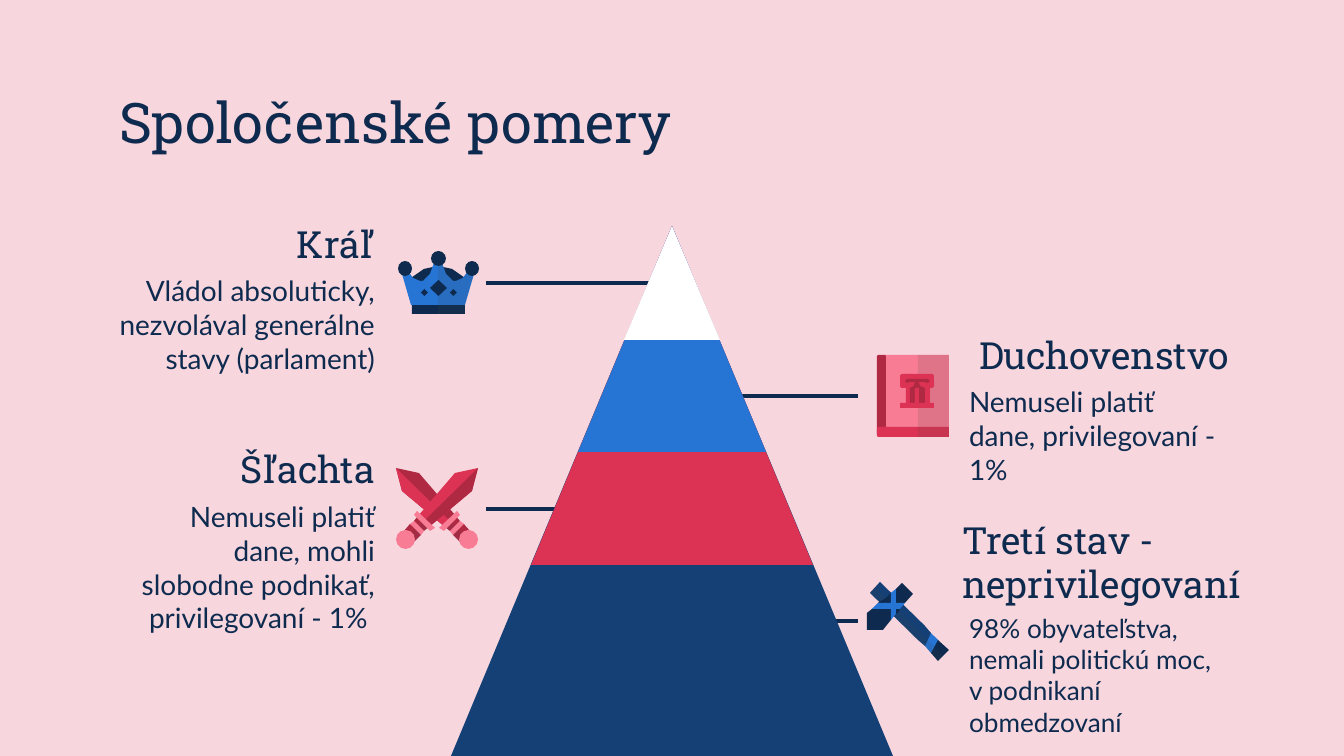
"""Build the slide about social order: a four-level pyramid with labelled icons."""
from lxml import etree
from pptx import Presentation
from pptx.dml.color import RGBColor
from pptx.enum.shapes import MSO_CONNECTOR, MSO_SHAPE
from pptx.enum.text import MSO_ANCHOR, PP_ALIGN
from pptx.oxml.ns import qn
from pptx.util import Emu, Pt

SCALE = 914400 / 134.4
PINK = RGBColor(0xF7, 0xD6, 0xDD)
NAVY = RGBColor(0x0E, 0x2B, 0x4F)
DEEP_BLUE = RGBColor(0x15, 0x40, 0x75)
BLUE = RGBColor(0x26, 0x74, 0xD4)
RED = RGBColor(0xDC, 0x33, 0x54)
DARK_RED = RGBColor(0xB0, 0x29, 0x43)
ROSE = RGBColor(0xF7, 0x7C, 0x94)
SHADE = RGBColor(0x43, 0x43, 0x43)
WHITE = RGBColor(0xFF, 0xFF, 0xFF)
TRIANGLE = MSO_SHAPE.ISOSCELES_TRIANGLE
RECTANGLE = MSO_SHAPE.RECTANGLE
ROUNDED = MSO_SHAPE.ROUNDED_RECTANGLE
OVAL = MSO_SHAPE.OVAL
DIAMOND = MSO_SHAPE.DIAMOND
STRAIGHT = MSO_CONNECTOR.STRAIGHT
POLYGON = None
LEFT, RIGHT = PP_ALIGN.LEFT, PP_ALIGN.RIGHT
TOP, MIDDLE = MSO_ANCHOR.TOP, MSO_ANCHOR.MIDDLE

presentation = Presentation()
presentation.slide_width = Emu(round(1344 * SCALE))
presentation.slide_height = Emu(round(756 * SCALE))
slide = presentation.slides.add_slide(presentation.slide_layouts[6])
slide.background.fill.solid()
slide.background.fill.fore_color.rgb = PINK


def add_piece(kind, geometry, colour):
    """Add a preset shape from a box, or a polygon from points; SHADE is see-through."""
    if kind is POLYGON:
        builder = slide.shapes.build_freeform(*geometry[0], scale=SCALE)
        builder.add_line_segments(geometry[1:], close=True)
        shape = builder.convert_to_shape()
    else:
        box = [Emu(round(value * SCALE)) for value in geometry]
        shape = slide.shapes.add_shape(kind, *box)
    shape.shadow.inherit = False
    shape.line.fill.background()
    shape.fill.solid()
    shape.fill.fore_color.rgb = colour
    if colour == SHADE:
        colour_element = shape._element.spPr.find(qn("a:solidFill"))[0]
        etree.SubElement(colour_element, qn("a:alpha"), val="13000")
    return shape


def add_text(text, box, size, font="Lato", align=LEFT, anchor=TOP):
    """Add a wrapped text box."""
    shape = slide.shapes.add_textbox(*[Emu(round(value * SCALE)) for value in box])
    frame = shape.text_frame
    frame.word_wrap = True
    frame.vertical_anchor = anchor
    frame.margin_left = frame.margin_top = frame.margin_bottom = Emu(round(13 * SCALE))
    frame.margin_right = Emu(round(14 * SCALE))
    paragraph = frame.paragraphs[0]
    paragraph.alignment = align
    run = paragraph.add_run()
    run.text = text
    run.font.size = Pt(size)
    run.font.name = font
    run.font.color.rgb = NAVY


for start, height in [(486, 283), (683, 396), (486, 509), (683, 621)]:
    ends = [Emu(round(value * SCALE)) for value in (start, height, start + 175, height)]
    connector = slide.shapes.add_connector(STRAIGHT, *ends)
    connector.line.color.rgb = NAVY
    connector.line.width = Pt(2.25)
    etree.SubElement(connector._element.spPr, qn("a:effectLst"))

for width, height, colour in [
    (442, 530, DEEP_BLUE), (282, 339, RED), (188, 226, BLUE), (96, 114, WHITE),
]:
    add_piece(TRIANGLE, (672 - width // 2, 226, width, height), colour)

add_text("Spoločenské pomery", (106, 79, 1134, 85), 30, font="Roboto Slab", anchor=MIDDLE)
for heading, heading_box, body, body_left, body_top, size, align in [
    ("Kráľ", (105, 206, 284, 75),
     "Vládol absoluticky, nezvolával generálne stavy (parlament)", 105, 261, 15, RIGHT),
    ("Šľachta", (105, 431, 284, 75),
     "Nemuseli platiť dane, mohli slobodne podnikať, privilegovaní - 1% ", 105, 487, 15, RIGHT),
    ("Duchovenstvo", (966, 317, 310, 75),
     "Nemuseli platiť dane, privilegovaní - 1%", 956, 372, 15, LEFT),
    ("Tretí stav - neprivilegovaní", (949, 524, 344, 75),
     "98% obyvateľstva, nemali politickú moc, v podnikaní obmedzovaní", 956, 599, 14, LEFT),
]:
    add_text(body, (body_left, body_top, 284, 85), size, align=align)
    add_text(heading, heading_box, 20, font="Roboto Slab", align=align, anchor=MIDDLE)

scroll = [(907, 379), (905, 381), (907, 383), (910, 382), (915, 382), (914, 386),
          (910, 388), (910, 406), (925, 406), (925, 388), (920, 386), (919, 382),
          (924, 382), (928, 383), (930, 381), (928, 379)]
book = [
    (RECTANGLE, (884, 355, 65, 72), ROSE),
    (RECTANGLE, (918, 355, 31, 72), SHADE),
    (ROUNDED, (877, 355, 9, 80), DARK_RED),
    (ROUNDED, (877, 427, 14, 10), RED),
    (RECTANGLE, (882, 427, 67, 10), RED),
    (RECTANGLE, (918, 427, 31, 10), SHADE),
    (ROUNDED, (900, 374, 34, 14), RED),
    (RECTANGLE, (906, 386, 24, 20), RED),
    (POLYGON, scroll, DARK_RED),
    (RECTANGLE, (915, 388, 4, 18), RED),
    (RECTANGLE, (900, 403, 34, 5), RED),
]

hammer_head = [(902, 583), (896, 589), (894, 597), (891, 593), (886, 598), (878, 603),
               (882, 606), (872, 609), (867, 613), (867, 630), (883, 630), (891, 620),
               (894, 610), (896, 614), (899, 612), (900, 609), (896, 606), (905, 603),
               (913, 594)]
hammer_cross = [(896, 589), (891, 593), (891, 603), (878, 603), (872, 609), (891, 609),
                (891, 620), (896, 614), (896, 609), (900, 609), (905, 603), (896, 603)]
hammer = [
    (POLYGON, [(931, 640), (931, 653), (938, 661), (949, 650), (938, 640)], NAVY),
    (POLYGON, [(931, 644), (931, 653), (938, 661), (943, 656)], SHADE),
    (POLYGON, [(925, 633), (925, 646), (931, 653), (938, 640), (931, 633)], BLUE),
    (POLYGON, [(925, 637), (925, 646), (931, 653), (934, 646)], SHADE),
    (POLYGON, [(918, 626), (918, 640), (925, 646), (931, 633), (925, 626)], DEEP_BLUE),
    (POLYGON, [(918, 629), (918, 640), (925, 646), (927, 640)], SHADE),
    (POLYGON, [(880, 582), (870, 593), (918, 640), (925, 626)], DEEP_BLUE),
    (POLYGON, [(875, 587), (870, 593), (918, 640), (921, 633)], SHADE),
    (POLYGON, hammer_head, NAVY),
    (POLYGON, hammer_cross, BLUE),
]

blade = [(396, 468), (402, 491), (445, 527), (456, 516), (419, 473)]
blade_half = [(396, 468), (402, 491), (445, 527), (450, 521)]
grip_edge = [(445, 527), (450, 531), (454, 530), (453, 535), (460, 542)]
grip = [(456, 516), *grip_edge, (470, 531), (464, 524), (458, 526), (460, 521)]
grip_half = [(450, 521), *grip_edge, (465, 536)]
ring = [(460, 521), (450, 531), (453, 535), (464, 524)]
guard = [(457, 511), (439, 528), (444, 531), (460, 515)]
swords = []
for mirrored, blade_colour, half_colour in [(False, DARK_RED, RED), (True, RED, DARK_RED)]:
    for outline, colour in [
        (blade, blade_colour), (blade_half, half_colour), (grip, DARK_RED),
        (grip_half, SHADE), (ring, ROSE), (guard, ROSE),
    ]:
        points = [(874 - x if mirrored else x, y) for x, y in outline]
        swords.append((POLYGON, points, colour))
    swords.append((OVAL, (396 if mirrored else 459, 530, 19, 19), ROSE))

crown_right = [(465, 305), (474, 274), (468, 271), (463, 278), (456, 281), (453, 281),
               (446, 274), (442, 263)]
crown_left = [(876 - x, y) for x, y in reversed(crown_right)]
crown_arch = [(411, 278), (415, 286), (461, 286), (465, 278), (452, 269), (438, 266),
              (424, 269)]
crown = [
    (RECTANGLE, (412, 300, 53, 14), NAVY),
    (RECTANGLE, (438, 300, 27, 14), SHADE),
    (POLYGON, crown_arch, NAVY),
    (POLYGON, crown_left + crown_right, BLUE),
    (POLYGON, [(438, 263), (438, 305), *crown_right], SHADE),
    (OVAL, (398, 261, 14, 15), NAVY),
    (OVAL, (465, 261, 14, 15), NAVY),
    (OVAL, (431, 251, 15, 15), NAVY),
    (DIAMOND, (430, 280, 17, 16), NAVY),
    (DIAMOND, (450, 289, 7, 7), NAVY),
    (DIAMOND, (421, 289, 7, 7), NAVY),
]

for pieces in (book, hammer, swords, crown):
    slide.shapes.add_group_shape(shapes=[add_piece(*piece) for piece in pieces])

presentation.save("out.pptx")
